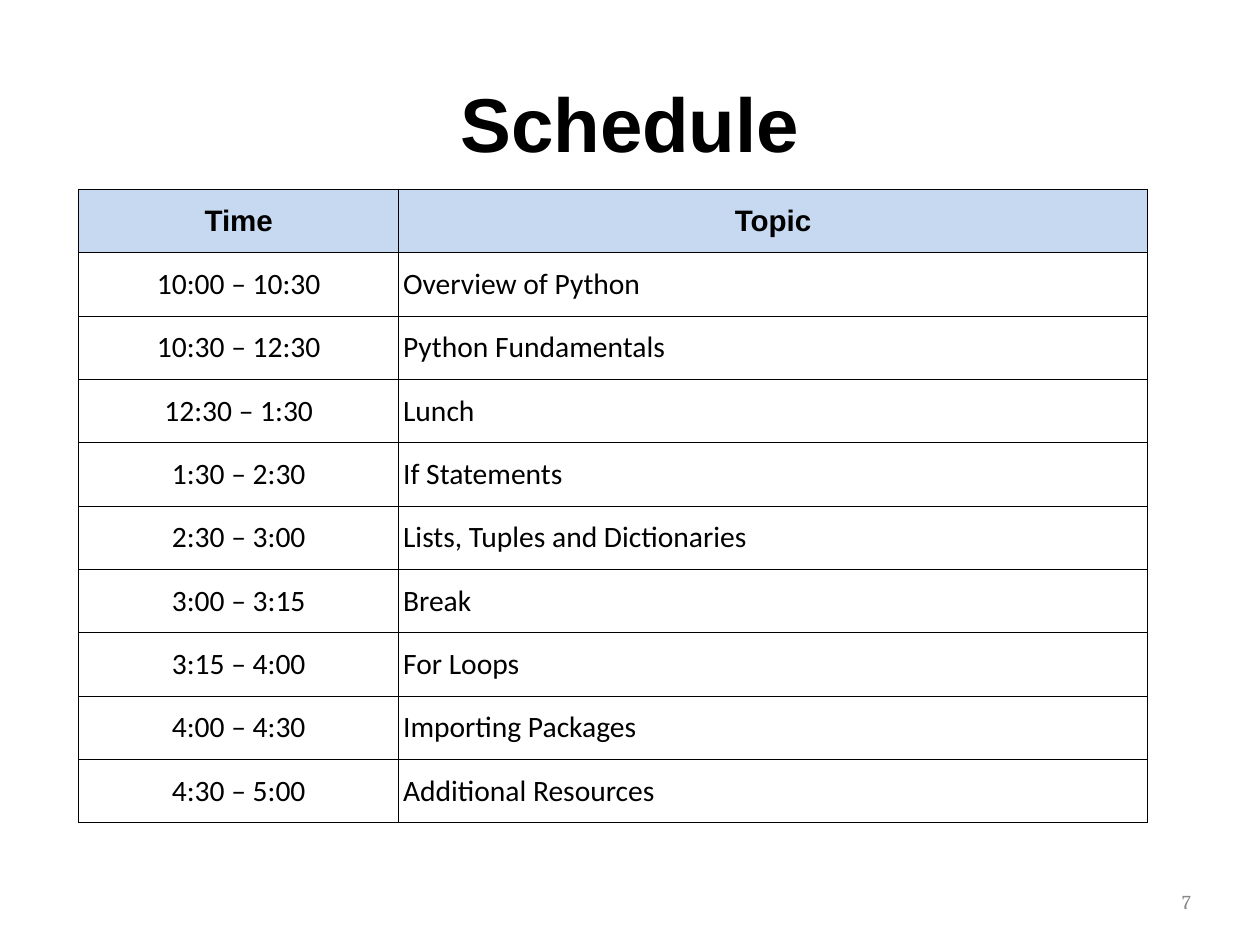
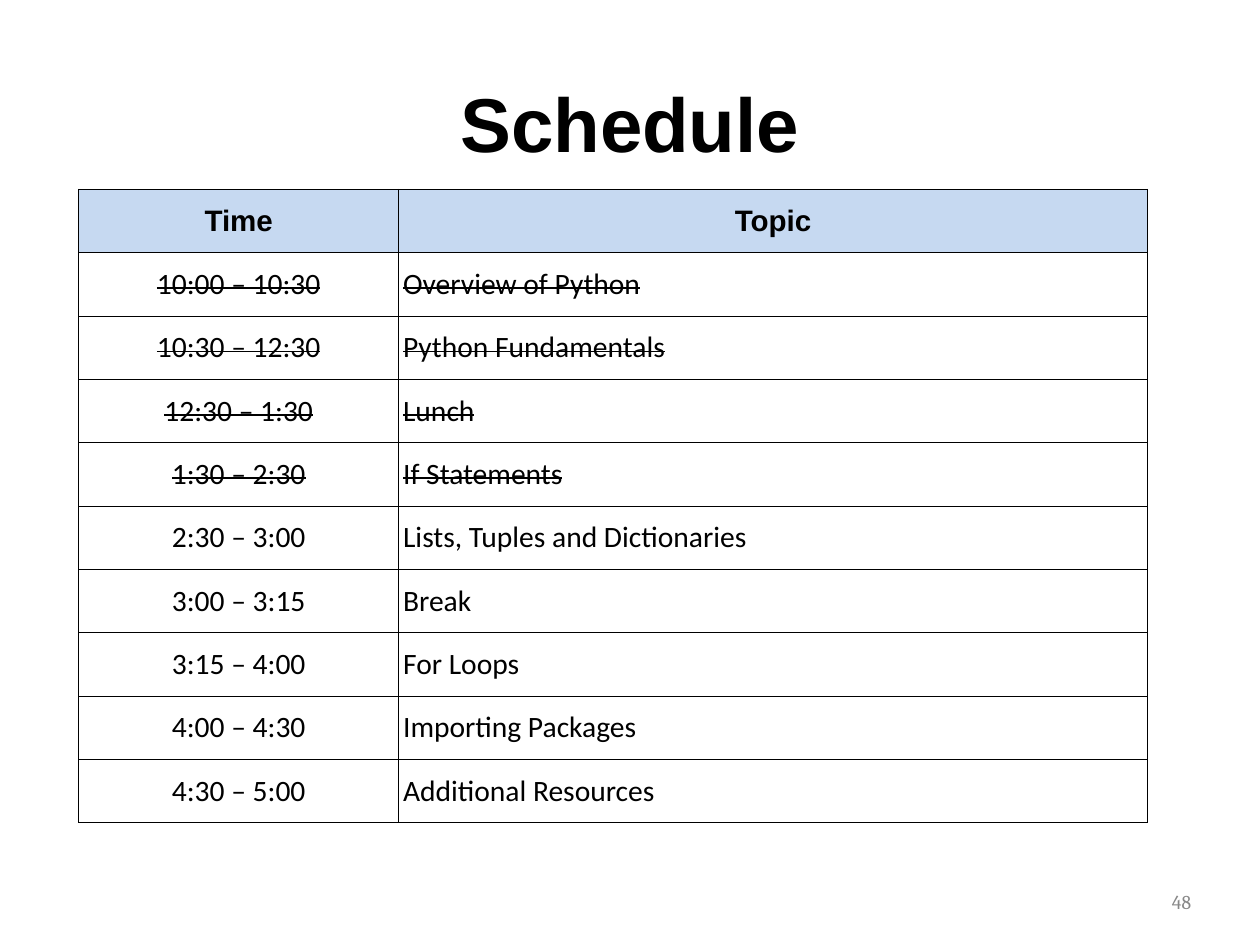
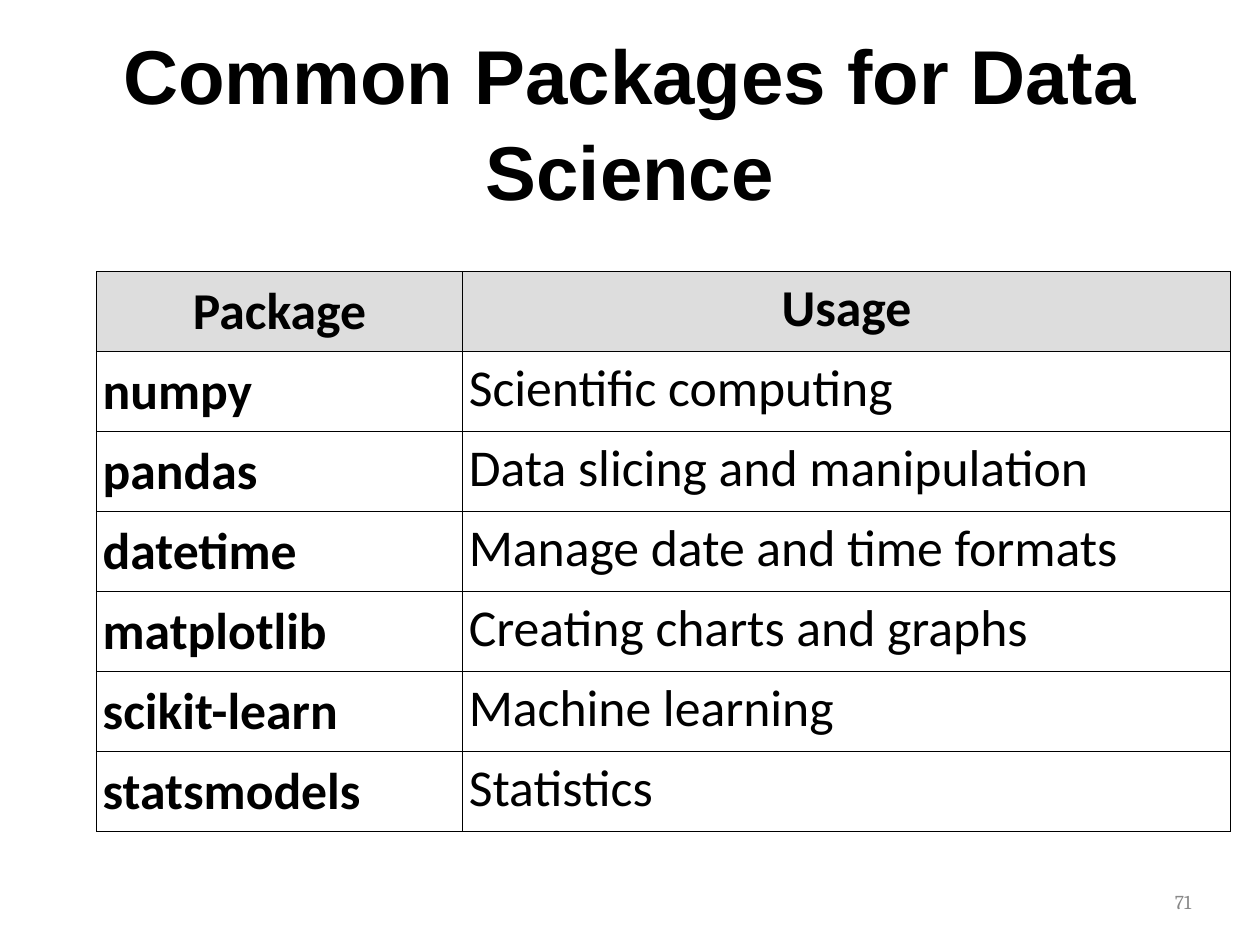
from lxml.etree import SubElement
from pptx import Presentation
from pptx.dml.color import RGBColor
from pptx.enum.text import MSO_ANCHOR as Anchor, PP_ALIGN as Align
from pptx.oxml.ns import qn
from pptx.util import Pt

COLORS = {"ink": "000000", "number": "888888", "blue": "C6D9F1", "grey": "DDDDDD"}
MARGIN = 5

SCHEDULE = [
    ("Time", "Topic"),
    ("10:00 – 10:30", "Overview of Python"),
    ("10:30 – 12:30", "Python Fundamentals"),
    ("12:30 – 1:30", "Lunch"),
    ("1:30 – 2:30", "If Statements"),
    ("2:30 – 3:00", "Lists, Tuples and Dictionaries"),
    ("3:00 – 3:15", "Break"),
    ("3:15 – 4:00", "For Loops"),
    ("4:00 – 4:30", "Importing Packages"),
    ("4:30 – 5:00", "Additional Resources"),
]
PACKAGES = [
    ("Package", "Usage"),
    ("numpy", "Scientific computing"),
    ("pandas", "Data slicing and manipulation"),
    ("datetime", "Manage date and time formats"),
    ("matplotlib", "Creating charts and graphs"),
    ("scikit-learn", "Machine learning"),
    ("statsmodels", "Statistics"),
]


def write(frame, text, *, size, font="Calibri", color="ink", bold=False,
          strike=False, align=Align.LEFT, spacing=None):
    """Write one formatted paragraph into a text frame."""
    para = frame.paragraphs[0]
    para.alignment = align
    if spacing:
        para.line_spacing = spacing
    span = para.add_run()
    span.text = text
    span.font.size = Pt(size)
    span.font.name = font
    span.font.bold = bold
    span.font.color.rgb = RGBColor.from_string(COLORS[color])
    if strike:
        span._r.get_or_add_rPr().set("strike", "sngStrike")


def set_margins(holder, margin):
    """Give a cell or text frame the same margin on all sides."""
    holder.margin_left = holder.margin_right = Pt(margin)
    holder.margin_top = holder.margin_bottom = Pt(margin)


def add_text(page, box, text, **style):
    """Place a wrapped, vertically centred text box."""
    frame = page.shapes.add_textbox(*map(Pt, box)).text_frame
    frame.word_wrap = True
    frame.vertical_anchor = Anchor.MIDDLE
    set_margins(frame, MARGIN)
    write(frame, text, **style)


def add_page(deck, title, number, title_box):
    """Add a slide with its title and page number."""
    page = deck.slides.add_slide(deck.slide_layouts[6])
    add_text(page, title_box, title, size=62, font="Arial", bold=True,
             align=Align.CENTER, spacing=1.05)
    add_text(page, (734, 718, 239, 29.5), str(number), size=16, font="Cambria",
             color="number", align=Align.RIGHT)
    return page


def add_borders(cell):
    """Draw a thin line on each side of a cell."""
    properties = cell._tc.get_or_add_tcPr()
    for side in ("lnL", "lnR", "lnT", "lnB"):
        line = SubElement(properties, qn(f"a:{side}"), w=str(Pt(1)))
        fill = SubElement(line, qn("a:solidFill"))
        SubElement(fill, qn("a:srgbClr"), val=COLORS["ink"])


def add_grid(page, left, top, widths, row_height, rows, header_fill, margin, cell_style):
    """Add a bordered table whose cells are styled by row and column."""
    table = page.shapes.add_table(
        len(rows), len(widths), Pt(left), Pt(top),
        Pt(sum(widths)), Pt(row_height * len(rows))).table
    table.first_row = table.horz_banding = False
    for column, width in zip(table.columns, widths):
        column.width = Pt(width)
    for row, texts in enumerate(rows):
        table.rows[row].height = Pt(row_height)
        for column, text in enumerate(texts):
            cell = table.cell(row, column)
            anchor, style = cell_style(row, column)
            set_margins(cell, margin)
            cell.vertical_anchor = anchor
            add_borders(cell)
            if row == 0:
                cell.fill.solid()
                cell.fill.fore_color.rgb = RGBColor.from_string(COLORS[header_fill])
            else:
                cell.fill.background()
            write(cell.text_frame, text, **style)


def add_schedule_page(deck, number, done=0):
    """Add the schedule, striking out the sessions already done."""
    def cell_style(row, column):
        """Return the anchor and text format of a schedule cell."""
        header = row == 0
        return Anchor.MIDDLE, dict(
            size=24, font="Arial" if header else "Calibri", bold=header,
            strike=0 < row <= done,
            align=Align.CENTER if header or column == 0 else Align.LEFT)

    page = add_page(deck, "Schedule", number, (51, 33.5, 922, 128))
    add_grid(page, 64, 154, (260, 608.5), 51.5, SCHEDULE, "blue", 3.6, cell_style)


def add_packages_page(deck, number):
    """Add the table of packages and what they are used for."""
    def cell_style(row, column):
        """Return the anchor and text format of a package cell."""
        return Anchor.TOP if column else Anchor.MIDDLE, dict(
            size=42, bold=row == 0 or column == 0,
            align=Align.LEFT if row else Align.CENTER)

    page = add_page(deck, "Common Packages for Data Science", number,
                    (51, 12.5, 922, 169))
    add_grid(page, 78.5, 220.75, (297.5, 624), 65, PACKAGES, "grey", MARGIN, cell_style)


def main():
    """Build and save the deck."""
    deck = Presentation()
    deck.slide_width, deck.slide_height = Pt(1024), Pt(768)
    add_schedule_page(deck, 7)
    add_schedule_page(deck, 48, done=4)
    add_packages_page(deck, 71)
    deck.save("out.pptx")


if __name__ == "__main__":
    main()
